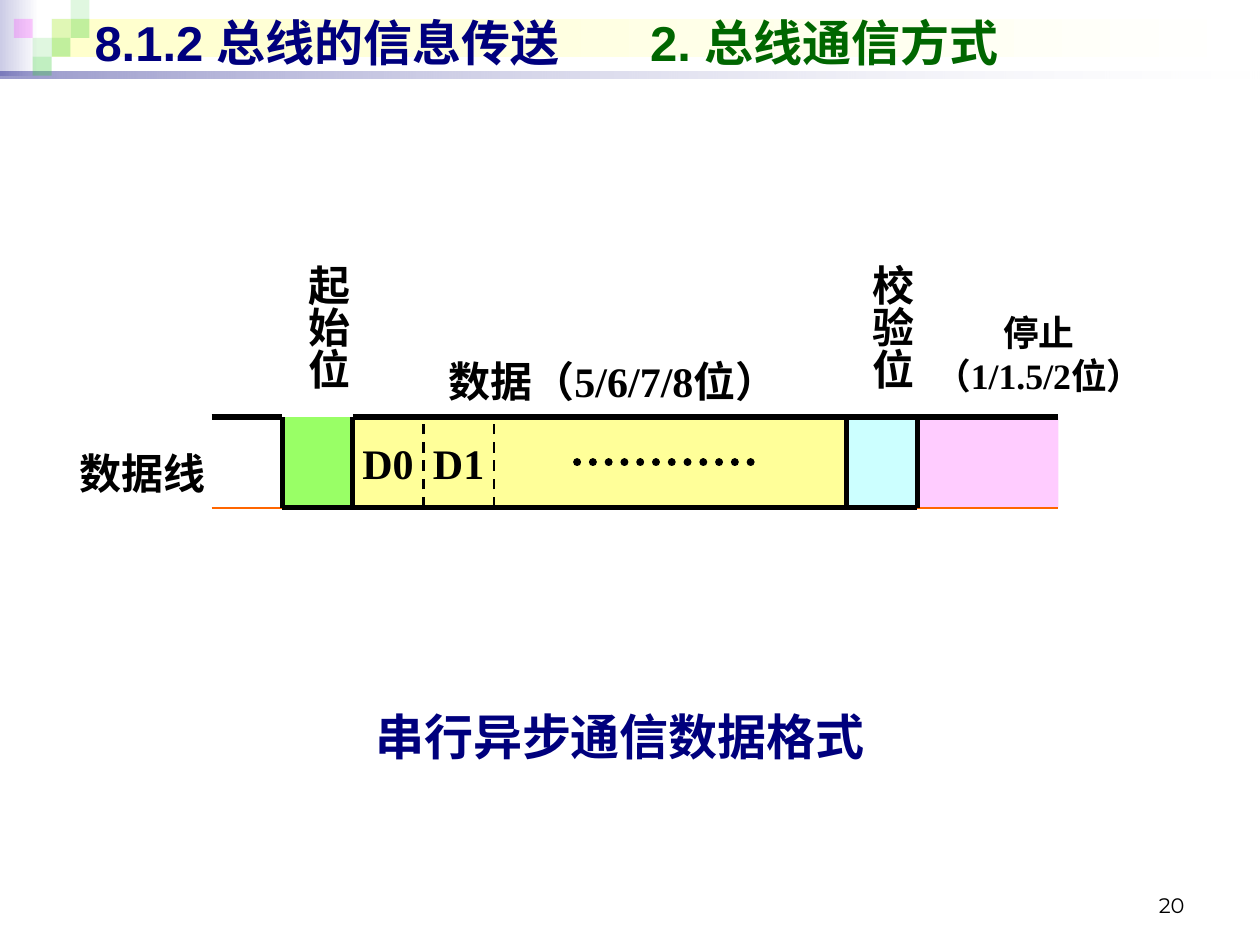
"""Slide on the frame format of asynchronous serial communication."""
from lxml.etree import SubElement
from pptx import Presentation
from pptx.dml.color import RGBColor
from pptx.enum.dml import MSO_LINE
from pptx.enum.shapes import MSO_CONNECTOR, MSO_SHAPE
from pptx.enum.text import MSO_ANCHOR, PP_ALIGN
from pptx.oxml.ns import qn
from pptx.util import Inches, Pt

COLORS = {
    "white": "FFFFFF", "black": "000000", "navy": "00007D", "dark green": "006600",
    "lilac": "CCCCE6", "cream": "FFFFCC", "green": "33CC33", "magenta": "FF00FF",
    "orange": "FF6600", "lime": "99FF66", "yellow": "FFFF99", "cyan": "CCFFFF",
    "pink": "FFCCFF",
}
SERIF = "Times New Roman"
TITLE = [("8.1.2 总线的信息传送\t", "navy"), ("2. 总线通信方式", "dark green")]
TITLE_TAB = 4.41
CAPTION = "串行异步通信数据格式"
PAGE = "20"

BANDS = [
    ((0, 0, 0.31, 0.6), ("white", 100), ("lilac", 100)),
    ((0.41, 0.15, 9.55, 0.3), ("white", 100), ("cream", 100)),
    ((0, 0.57, 10, 0.05), ("white", 10), ("navy", 40)),
]
TILE, TILE_LEFT = 0.15, 0.11
TILES = [
    (2, 1, "green", 15), (3, 0, "green", 15), (3, 1, "green", 30), (1, 2, "green", 15),
    (0, 1, "magenta", 20), (2, 2, "green", 30), (1, 3, "green", 30),
]

BIT, LEFT, TOP, BOTTOM = 0.56, 1.68, 3.31, 4.03
FIELDS = [(10, 12, "pink"), (1, 2, "lime"), (9, 10, "cyan"), (2, 9, "yellow")]
BIT_NAMES = [(2, "D0"), (3, "D1")]
UPRIGHT_LABELS = [(1, "起始位"), (9, "校验位")]
LABELS = [
    ((7.2, 2.47, 2.13, 0.73), ["停止", "（1/1.5/2位）"], 20.4, PP_ALIGN.CENTER),
    ((3.43, 2.82, 2.91, 0.48), ["数据（5/6/7/8位）"], 24, PP_ALIGN.CENTER),
    ((0.27, 3.55, 1.4, 0.48), ["数据线"], 24, PP_ALIGN.RIGHT),
]
LEVELS = [
    (0, 12, BOTTOM, "orange", 1), (1, 10, BOTTOM, "black", 3),
    (2, 12, TOP, "black", 3), (0, 1, TOP, "black", 3),
]
EDGES = [1, 2, 9, 10]
BIT_EDGES = [3, 4]
ELLIPSIS = (4.58, 6.02, 3.67)


def rgb(name):
    return RGBColor.from_string(COLORS[name])


def column(bit):
    return LEFT + bit * BIT


def inches(box):
    return [Inches(length) for length in box]


def set_alpha(color_parent, percent):
    if percent < 100:
        color = color_parent.find(".//" + qn("a:srgbClr"))
        SubElement(color, qn("a:alpha"), val=str(percent * 1000))


def add_block(slide, box):
    block = slide.shapes.add_shape(MSO_SHAPE.RECTANGLE, *inches(box))
    block.shadow.inherit = False
    block.line.fill.background()
    return block


def add_solid(slide, box, color, alpha=100):
    block = add_block(slide, box)
    block.fill.solid()
    block.fill.fore_color.rgb = rgb(color)
    set_alpha(block.fill._xPr, alpha)


def add_gradient(slide, box, *ends):
    block = add_block(slide, box)
    block.fill.gradient()
    block.fill.gradient_angle = 180
    for stop, (color, alpha) in zip(block.fill.gradient_stops, ends):
        stop.color.rgb = rgb(color)
        set_alpha(stop._gs, alpha)


def add_line(slide, start, end, color, width, dash=None):
    line = slide.shapes.add_connector(MSO_CONNECTOR.STRAIGHT, *inches(start + end))
    line.line.color.rgb = rgb(color)
    line.line.width = Pt(width)
    if dash:
        line.line.dash_style = dash
    SubElement(line._element.spPr, qn("a:effectLst"))
    return line


def add_text(slide, box, lines, size, align=PP_ALIGN.CENTER, color="black", font=SERIF,
             bold=True, insets=(0, 0, 0.04, 0), anchor=MSO_ANCHOR.TOP, fill=None):
    label = slide.shapes.add_textbox(*inches(box))
    if fill:
        label.fill.solid()
        label.fill.fore_color.rgb = rgb(fill)
    frame = label.text_frame
    frame.word_wrap = True
    frame.vertical_anchor = anchor
    (frame.margin_left, frame.margin_top,
     frame.margin_right, frame.margin_bottom) = inches(insets)
    frame.text = "\n".join(lines)
    for paragraph in frame.paragraphs:
        paragraph.alignment = align
        paragraph.font.size = Pt(size)
        paragraph.font.name = font
        paragraph.font.bold = bold
        paragraph.font.color.rgb = rgb(color)
    return frame


def add_header(slide):
    for box, *ends in BANDS:
        add_gradient(slide, box, *ends)
    for col, row, color, alpha in TILES:
        add_solid(slide, (TILE_LEFT + col * TILE, row * TILE, TILE, TILE), color, alpha)
    title = slide.shapes.title
    title._element.getparent().append(title._element)
    title.left, title.top, title.width, title.height = inches((0.65, 0.05, 9, 0.57))
    title.text_frame.vertical_anchor = MSO_ANCHOR.MIDDLE
    heading = title.text_frame.paragraphs[0]
    heading.alignment = PP_ALIGN.LEFT
    tabs = SubElement(heading._p.get_or_add_pPr(), qn("a:tabLst"))
    SubElement(tabs, qn("a:tab"), pos=str(Inches(TITLE_TAB)), algn="l")
    heading.font.size = Pt(28)
    heading.font.name = "Arial"
    heading.font.bold = True
    for words, color in TITLE:
        run = heading.add_run()
        run.text = words
        run.font.color.rgb = rgb(color)


def add_frame(slide):
    height = BOTTOM - TOP
    for first, last, color in FIELDS:
        add_solid(slide, (column(first), TOP, (last - first) * BIT, height), color)
    for box, lines, size, align in LABELS:
        add_text(slide, box, lines, size, align, fill="white")
    for bit, name in UPRIGHT_LABELS:
        frame = add_text(slide, (column(bit), 2.1, BIT, 1.21), [name], 24,
                         insets=(0, 0, 0, 0.04), fill="white")
        frame._txBody.bodyPr.set("vert", "eaVert")
    for bit, name in BIT_NAMES:
        add_text(slide, (column(bit), TOP, BIT, height), [name], 24,
                 insets=(0, 0, 0, 0), anchor=MSO_ANCHOR.MIDDLE)
    for first, last, y, color, width in LEVELS:
        add_line(slide, (column(first), y), (column(last), y), color, width)
    for bits, width, dash in [(EDGES, 3, None), (BIT_EDGES, 1.5, MSO_LINE.DASH)]:
        for bit in bits:
            add_line(slide, (column(bit), BOTTOM), (column(bit), TOP), "black", width, dash)
    start, end, y = ELLIPSIS
    dots = add_line(slide, (start, y), (end, y), "black", 4.5, MSO_LINE.ROUND_DOT)
    dots.line._get_or_add_ln().set("cap", "rnd")


def main():
    deck = Presentation()
    deck.slide_width, deck.slide_height = inches((10, 7.5))
    slide = deck.slides.add_slide(deck.slide_layouts[5])
    add_header(slide)
    add_frame(slide)
    margins = (0.1, 0.05, 0.1, 0.05)
    add_text(slide, (1.06, 5.56, 7.72, 0.57), [CAPTION], 28, color="navy", insets=margins)
    add_text(slide, (7.17, 6.83, 2.33, 0.5), [PAGE], 12, PP_ALIGN.RIGHT, font="Montserrat",
             bold=False, insets=margins, anchor=MSO_ANCHOR.BOTTOM)
    deck.save("out.pptx")


if __name__ == "__main__":
    main()
